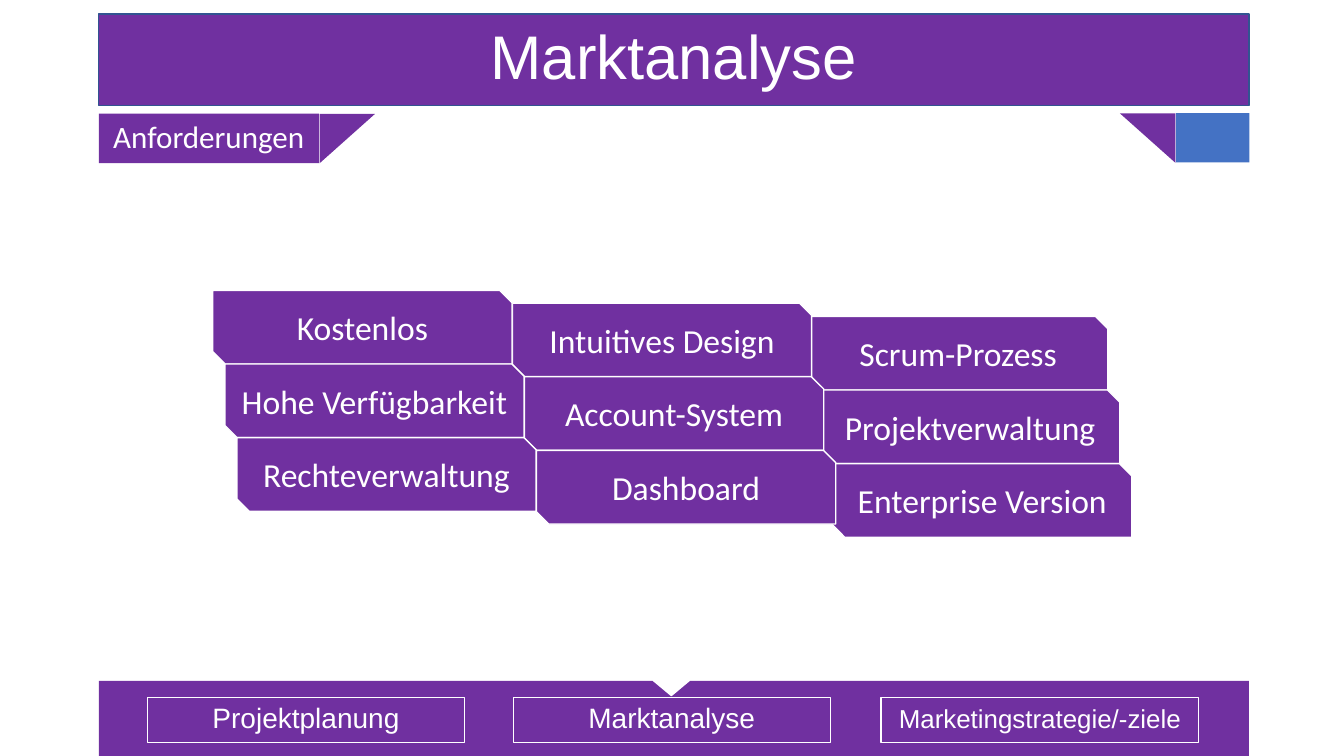
import pptx
import pptx.util
import pptx.dml.color
import pptx.enum.shapes
import pptx.enum.text
import pptx.oxml

Pt = pptx.util.Pt
SHAPE = pptx.enum.shapes.MSO_SHAPE
COLORS = {"purple": "7030A0", "blue": "4472C4", "white": "FFFFFF", "navy": "325491"}
LEFT, WIDTH = 70.56, 821.5
TILES = [
    ["Kostenlos", "Intuitives Design", "Scrum-Prozess"],
    ["Hohe Verfügbarkeit", "Account-System", "Projektverwaltung"],
    ["Rechteverwaltung", "Dashboard", "Enterprise Version"],
]
TILE_COLUMNS = [(152, 207.4), (366, 216.5), (577.5, 226)]
TILE_W, TILE_H, TILE_SHIFT = 213.8, 52.6, 8.6
TABS = [
    ("Projektplanung", 105.2, 20),
    ("Marktanalyse", 366.5, 20),
    ("Marketingstrategie/-ziele", 629.3, 18.5),
]


def rgb(name):
    return pptx.dml.color.RGBColor.from_string(COLORS[name])


def paint(s, fill, line=None, line_width=1):
    if fill:
        s.fill.solid()
        s.fill.fore_color.rgb = rgb(fill)
    else:
        s.fill.background()
    if line:
        s.line.color.rgb = rgb(line)
        s.line.width = Pt(line_width)
    else:
        s.line.fill.background()


def write(s, text, size, font):
    tf = s.text_frame
    tf.text = text
    tf.word_wrap = True
    tf.auto_size = pptx.enum.text.MSO_AUTO_SIZE.NONE
    tf.vertical_anchor = pptx.enum.text.MSO_ANCHOR.MIDDLE
    tf.margin_left = tf.margin_right = Pt(3)
    p = tf.paragraphs[0]
    p.alignment = pptx.enum.text.PP_ALIGN.CENTER
    p.font.size = Pt(size)
    p.font.name = font
    p.font.bold = False
    p.font.color.rgb = rgb("white")
    return p


def add_shape(slide, kind, box, fill="purple", line=None, rotation=0):
    s = slide.shapes.add_shape(kind, *map(Pt, box))
    s.shadow.inherit = False
    s.rotation = rotation
    paint(s, fill, line)
    return s


def fill_placeholder(slide, s, box, text, size, font, space_before=10):
    s.left, s.top, s.width, s.height = map(Pt, box)
    p = write(s, text, size, font)
    p.line_spacing = 0.9
    p.space_before = Pt(space_before)
    slide.shapes.element.append(s.element)
    return p


def remove_bullet(p):
    pPr = p.runs[0].font._element.getparent().getparent().get_or_add_pPr()
    pPr.set("marL", "0")
    pPr.set("indent", "0")
    bullet = pptx.oxml.parse_xml(
        '<a:buNone xmlns:a="http://schemas.openxmlformats.org/drawingml/2006/main"/>'
    )
    pPr.insert_element_before(bullet, "a:tabLst", "a:defRPr", "a:extLst")


def add_frame(slide):
    add_shape(slide, SHAPE.RECTANGLE, (LEFT, 486.4, WIDTH, 53.6))
    add_shape(slide, SHAPE.ISOSCELES_TRIANGLE, (466.6, 486, 25.9, 10.8), "white", "white", 180)
    add_shape(slide, SHAPE.RIGHT_TRIANGLE, (230.4, 79.2, 35.3, 39.6), rotation=90)
    add_shape(slide, SHAPE.RECTANGLE, (840, 80.8, 52.4, 35.3), "blue")
    add_shape(slide, SHAPE.RIGHT_TRIANGLE, (800, 81, 39.6, 35.3), rotation=180)


def add_tiles(slide):
    for row, texts in enumerate(TILES):
        for (x, y), text in reversed(list(zip(TILE_COLUMNS, texts))):
            box = (x + row * TILE_SHIFT, y + row * TILE_H, TILE_W, TILE_H)
            s = add_shape(slide, SHAPE.SNIP_2_DIAG_RECTANGLE, box, line="white")
            write(s, text, 24, "Calibri")


def add_headings(slide):
    title, heading, *tabs = slide.placeholders
    fill_placeholder(slide, title, (LEFT, 10, WIDTH, 65.3), "Marktanalyse", 44, "Arial", 0)
    paint(title, "purple", "navy")
    p = fill_placeholder(slide, heading, (LEFT, 81.2, 157.2, 35.3), "Anforderungen", 22.2, "Calibri")
    remove_bullet(p)
    paint(heading, "purple")
    for s, (text, x, size) in zip(tabs, TABS):
        p = fill_placeholder(slide, s, (x, 498.2, 226.8, 32), text, size, "Arial")
        remove_bullet(p)
        paint(s, None, "white", 0.75)


def main():
    prs = pptx.Presentation()
    prs.slide_width, prs.slide_height = Pt(960), Pt(540)
    slide = prs.slides.add_slide(prs.slide_layouts.get_by_name("Comparison"))
    add_frame(slide)
    add_headings(slide)
    add_tiles(slide)
    prs.save("out.pptx")


main()
